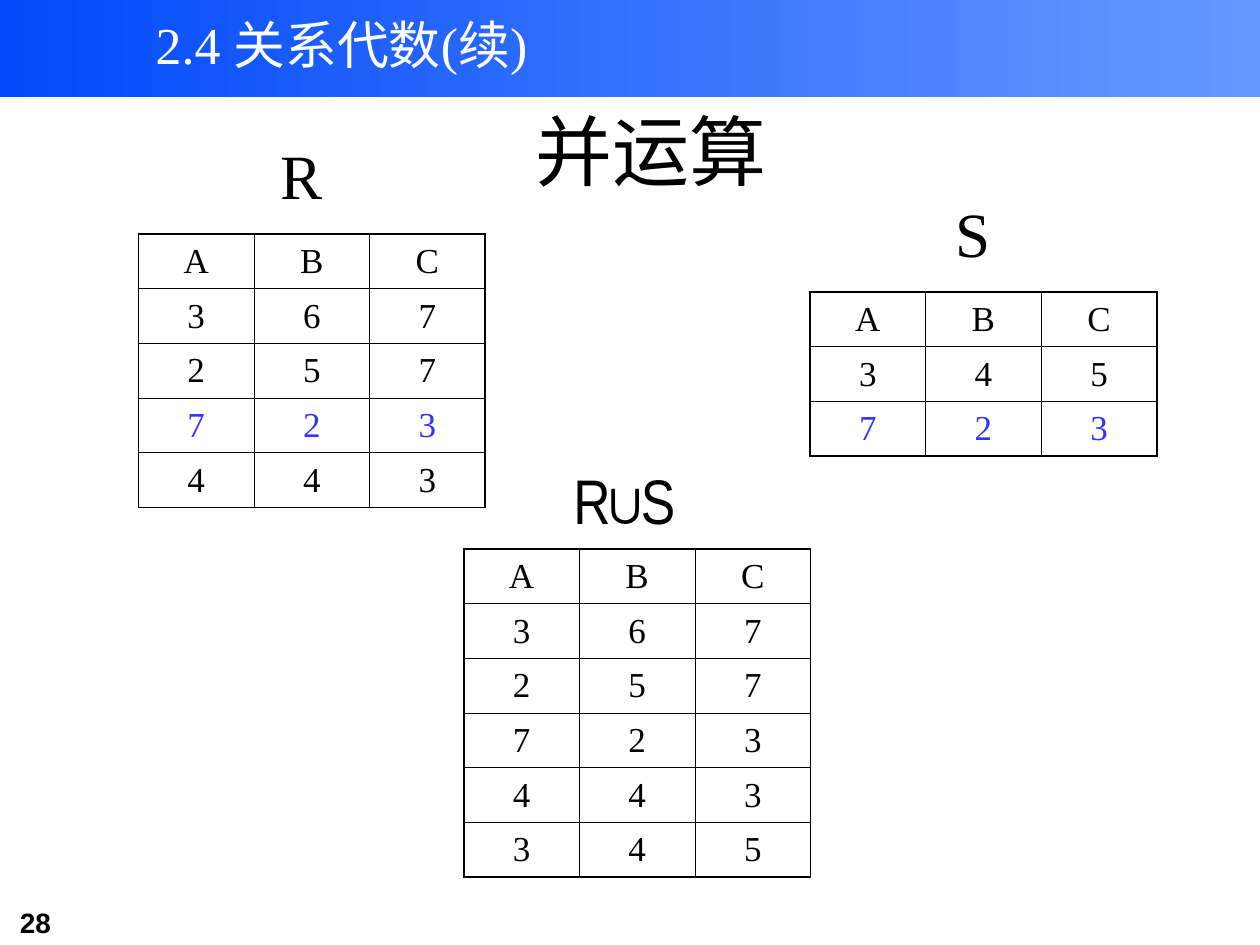
from pptx import Presentation
from pptx.dml.color import RGBColor
from pptx.enum.shapes import MSO_SHAPE
from pptx.enum.text import MSO_ANCHOR as Anchor, PP_ALIGN as Align
from pptx.oxml.ns import qn
from pptx.util import Cm, Pt
from lxml.etree import SubElement

# Content
SECTION = "2.4 关系代数(续)"
TITLE = "并运算"
PAGE_NUMBER = "28"
HEADER = ("A", "B", "C")
SHARED_ROW = (7, 2, 3)
R_ROWS = [(3, 6, 7), (2, 5, 7), SHARED_ROW, (4, 4, 3)]
S_ROWS = [(3, 4, 5), SHARED_ROW]
UNION_ROWS = R_ROWS + [row for row in S_ROWS if row not in R_ROWS]

THEME = {
    "black": RGBColor(0, 0, 0),
    "white": RGBColor(255, 255, 255),
    "shared": RGBColor(0x33, 0x33, 0xFF),
    "band": (RGBColor(0x02, 0x49, 0xFA), RGBColor(0x66, 0x99, 0xFF)),
    "serif": "Times New Roman",
    "narrow": "Arial Narrow",
    "sans": "Arial",
    "title": Pt(44), "label": Pt(36), "section": Pt(29.6),
    "cell": Pt(20), "page": Pt(16),
    "outer_line": Pt(1.08), "inner_line": Pt(0.45),
}

# Geometry in centimetres
SLIDE_W, SLIDE_H, BAND_H = 25.4, 19.05, 1.96
COL_W, ROW_H, LABEL_H = 2.33, 1.1, 1.78

# Label, label font, rows, highlighted row, table corner, label offset and width
RELATIONS = [
    ("R", "serif", R_ROWS, SHARED_ROW, (2.79, 4.72), (2.11, -2.1), 2.34),
    ("S", "serif", S_ROWS, SHARED_ROW, (16.33, 5.89), (2.11, -2.1), 2.34),
    ("R∪S", "narrow", UNION_ROWS, None, (9.35, 11.07), (1.55, -1.9), 3.38),
]


def write(frame, text, size, font="serif", color="black", align=Align.CENTER, bold=False):
    paragraph = frame.paragraphs[0]
    paragraph.alignment = align
    run = paragraph.add_run()
    run.text = text
    run.font.color.rgb = THEME[color]
    formats = {"size": THEME[size], "name": THEME[font], "bold": bold}
    for name, value in formats.items():
        setattr(run.font, name, value)


def add_text(slide, box, text, anchor=Anchor.BOTTOM, **formats):
    frame = slide.shapes.add_textbox(*map(Cm, box)).text_frame
    frame.word_wrap = True
    frame.vertical_anchor = anchor
    write(frame, text, **formats)


def draw_borders(cell, outer_sides):
    properties = cell._tc.get_or_add_tcPr()
    for side in "LRTB":
        width = THEME["outer_line" if side in outer_sides else "inner_line"]
        line = SubElement(properties, qn(f"a:ln{side}"), w=str(int(width)))
        fill = SubElement(line, qn("a:solidFill"))
        SubElement(fill, qn("a:srgbClr"), val=str(THEME["black"]))


def add_relation(slide, label, font, rows, highlighted, corner, offset, label_w):
    lines = [HEADER, *rows]
    last_row, last_col = len(lines) - 1, len(HEADER) - 1
    size = (COL_W * len(HEADER), ROW_H * len(lines))
    table = slide.shapes.add_table(
        len(lines), len(HEADER), *map(Cm, corner + size)).table
    for flag in ("first_row", "horz_banding"):
        setattr(table, flag, False)
    for column in table.columns:
        column.width = Cm(COL_W)
    for i, values in enumerate(lines):
        table.rows[i].height = Cm(ROW_H)
        color = "shared" if values == highlighted else "black"
        for j, value in enumerate(values):
            cell = table.cell(i, j)
            edges = {"L": j == 0, "R": j == last_col, "T": i == 0, "B": i == last_row}
            draw_borders(cell, [side for side, outer in edges.items() if outer])
            cell.fill.background()
            cell.vertical_anchor = Anchor.MIDDLE
            write(cell.text_frame, str(value), "cell", color=color)

    # Name above the table
    left, top = (start + shift for start, shift in zip(corner, offset))
    add_text(slide, (left, top, label_w, LABEL_H), label, size="label", font=font)


def main():
    deck = Presentation()
    deck.slide_width, deck.slide_height = Cm(SLIDE_W), Cm(SLIDE_H)
    slide = deck.slides.add_slide(deck.slide_layouts[5])

    # Header band
    band = slide.shapes.add_shape(
        MSO_SHAPE.RECTANGLE, 0, 0, Cm(SLIDE_W), Cm(BAND_H))
    band.shadow.inherit = False
    band.line.fill.background()
    band.fill.gradient()
    band.fill.gradient_angle = 0
    for stop, color, position in zip(band.fill.gradient_stops, THEME["band"], (0, 1)):
        stop.color.rgb = color
        stop.position = position
    add_text(slide, (2.34, 0.03, 9.09, 1.7), SECTION, Anchor.MIDDLE,
             size="section", color="white")

    # Slide title
    title = slide.shapes.title
    place = {"left": 8.46, "top": 1.9, "width": 9.32, "height": 2.18}
    for name, value in place.items():
        setattr(title, name, Cm(value))
    title.text_frame.vertical_anchor = Anchor.BOTTOM
    write(title.text_frame, TITLE, "title")

    # Operands and their union
    for relation in RELATIONS:
        add_relation(slide, *relation)

    # Page number
    add_text(slide, (0.15, 18.11, 3.1, 0.94), PAGE_NUMBER,
             size="page", font="sans", align=Align.LEFT, bold=True)
    deck.save("out.pptx")


if __name__ == "__main__":
    main()
